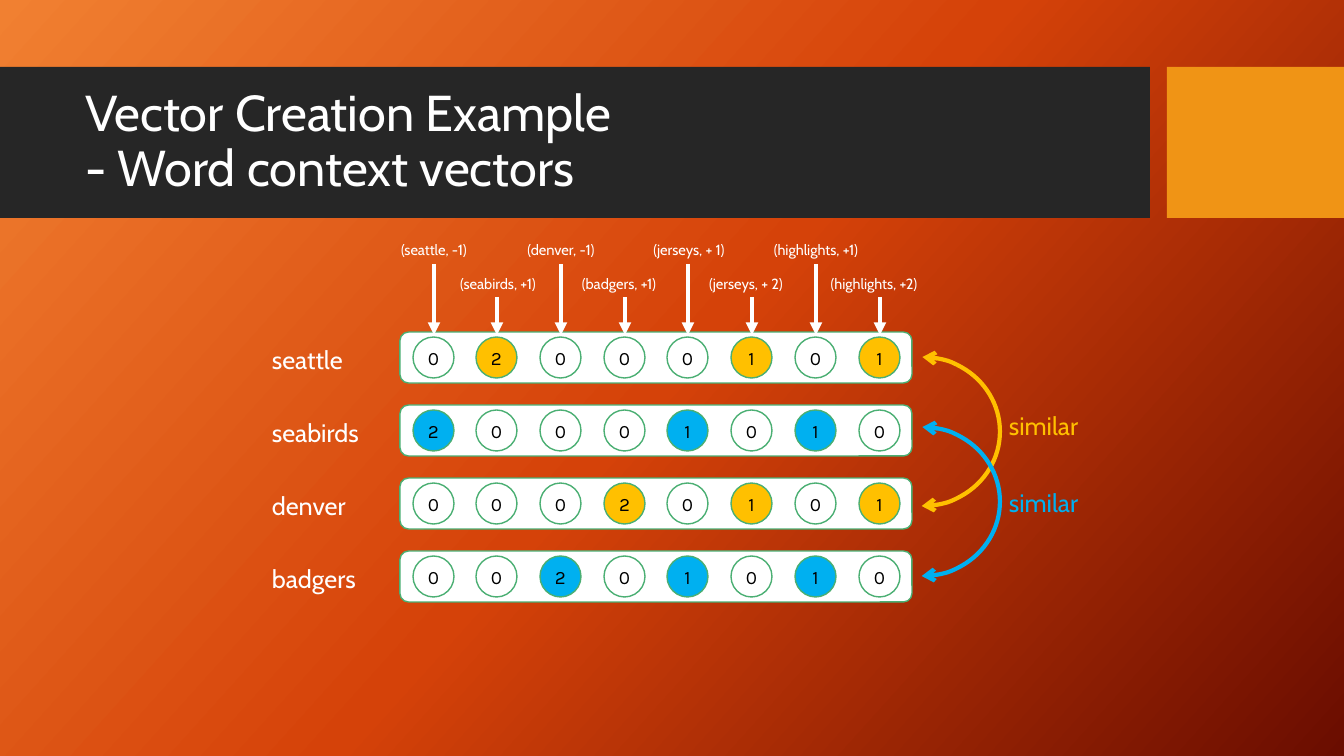
"""Build the slide on word context vectors and their similarity."""
from copy import deepcopy

from lxml.etree import SubElement
from pptx import Presentation
from pptx.dml.color import RGBColor
from pptx.enum.shapes import MSO_CONNECTOR, MSO_SHAPE
from pptx.enum.text import MSO_ANCHOR, PP_ALIGN
from pptx.oxml.ns import qn
from pptx.util import Pt

PX = 914400 / 100.8
WHITE = RGBColor(0xFF, 0xFF, 0xFF)
BLACK = RGBColor(0x00, 0x00, 0x00)
CHARCOAL = RGBColor(0x26, 0x26, 0x26)
ORANGE = RGBColor(0xF0, 0x94, 0x15)
GREEN = RGBColor(0x4B, 0xAF, 0x73)
GOLD = RGBColor(0xFF, 0xC0, 0x00)
BLUE = RGBColor(0x00, 0xB0, 0xF0)
BACKDROP = [(0, RGBColor(0xF1, 0x80, 0x31)),
            (0.5, RGBColor(0xD5, 0x42, 0x09)),
            (1, RGBColor(0x6A, 0x0D, 0x00))]


def px(*lengths):
    return [round(length * PX) for length in lengths]


def write(shape, text, size, color, font="Cabin", align=PP_ALIGN.LEFT):
    frame = shape.text_frame
    frame.word_wrap = False
    frame.text = text
    paragraph = frame.paragraphs[0]
    paragraph.alignment = align
    paragraph.font.size = Pt(size)
    paragraph.font.name = font
    paragraph.font.color.rgb = color


prs = Presentation()
prs.slide_width, prs.slide_height = px(1344, 756)
slide = prs.slides.add_slide(prs.slide_layouts[5])
shapes = slide.shapes

backdrop = slide.background.fill
backdrop.gradient()
backdrop.gradient_angle = 318
stop_list = slide.element.find(".//" + qn("a:gsLst"))
stop_list.append(deepcopy(stop_list[-1]))
for stop, (position, color) in zip(backdrop.gradient_stops, BACKDROP):
    stop.position = position
    stop.color.rgb = color

for left, width, color in [(0, 1150, CHARCOAL), (1167, 177, ORANGE)]:
    band = shapes.add_shape(MSO_SHAPE.RECTANGLE, *px(left, 67, width, 151))
    band.shadow.inherit = False
    band.fill.solid()
    band.fill.fore_color.rgb = color
    band.line.fill.background()

title = shapes.title
shapes.element.append(title.element)
title.left, title.top, title.width, title.height = px(75, 83, 1059, 119)
write(title, "Vector Creation Example\v- Word context vectors", 36, WHITE)
title.text_frame.word_wrap = True
title.text_frame.vertical_anchor = MSO_ANCHOR.MIDDLE
title.text_frame.paragraphs[0].line_spacing = 0.9

vectors = [("seattle", [0, 2, 0, 0, 0, 1, 0, 1], GOLD),
           ("seabirds", [2, 0, 0, 0, 1, 0, 1, 0], BLUE),
           ("denver", [0, 0, 0, 2, 0, 1, 0, 1], GOLD),
           ("badgers", [0, 0, 2, 0, 1, 0, 1, 0], BLUE)]
circle_lefts = [413 + column * 446 // 7 for column in range(8)]

for row, (word, counts, highlight) in enumerate(vectors):
    top = 332 + 73 * row
    panel = shapes.add_shape(MSO_SHAPE.ROUNDED_RECTANGLE, *px(400, top, 512, 51))
    circles = [shapes.add_shape(MSO_SHAPE.OVAL, *px(left, top + 5, 41, 41))
               for left in circle_lefts]
    for outlined in [panel, *circles]:
        outlined.shadow.inherit = False
        outlined.fill.solid()
        outlined.fill.fore_color.rgb = WHITE
        outlined.line.color.rgb = GREEN
        outlined.line.width = Pt(1)
    for circle, count in zip(circles, counts):
        if count:
            circle.fill.fore_color.rgb = highlight
        write(circle, str(count), 13.5, BLACK, "Karla", PP_ALIGN.CENTER)
        circle.text_frame.vertical_anchor = MSO_ANCHOR.MIDDLE
    write(shapes.add_textbox(*px(262, top + 7, 127, 40)), word, 18, WHITE)

contexts = [("(seattle, -1)", 434), ("(seabirds, +1)", 498),
            ("(denver, -1)", 561), ("(badgers, +1)", 619),
            ("(jerseys, + 1)", 689), ("(jerseys, + 2)", 746),
            ("(highlights, +1)", 816), ("(highlights, +2)", 874)]
arrows = []
for column, (context, center) in enumerate(contexts):
    drop = column % 2
    caption = shapes.add_textbox(*px(center - 60, 236 + 34 * drop, 120, 28))
    write(caption, context, 10.5, WHITE, align=PP_ALIGN.CENTER)
    x = circle_lefts[column] + 21
    arrow = shapes.add_connector(
        MSO_CONNECTOR.STRAIGHT, *px(x, 264 + 33 * drop, x, 335))
    SubElement(arrow.element.spPr, qn("a:effectLst"))
    arrows.append((arrow, WHITE, "triangle", ["a:tailEnd"]))

for arc_top, similar_top, color in [(357, 405, GOLD), (427, 482, BLUE)]:
    arc = shapes.add_shape(MSO_SHAPE.ARC, *px(845, arc_top, 155, 149))
    arc.adjustments[0] = 162
    arc.adjustments[1] = 54.34
    arc.shadow.inherit = False
    arc.fill.background()
    arrows.append((arc, color, "arrow", ["a:headEnd", "a:tailEnd"]))
    write(shapes.add_textbox(*px(999, similar_top, 97, 40)), "similar", 18, color)

for arrow, color, head, ends in arrows:
    arrow.line.color.rgb = color
    arrow.line.width = Pt(3)
    for end in ends:
        SubElement(arrow.line._get_or_add_ln(), qn(end), type=head)

prs.save("out.pptx")
